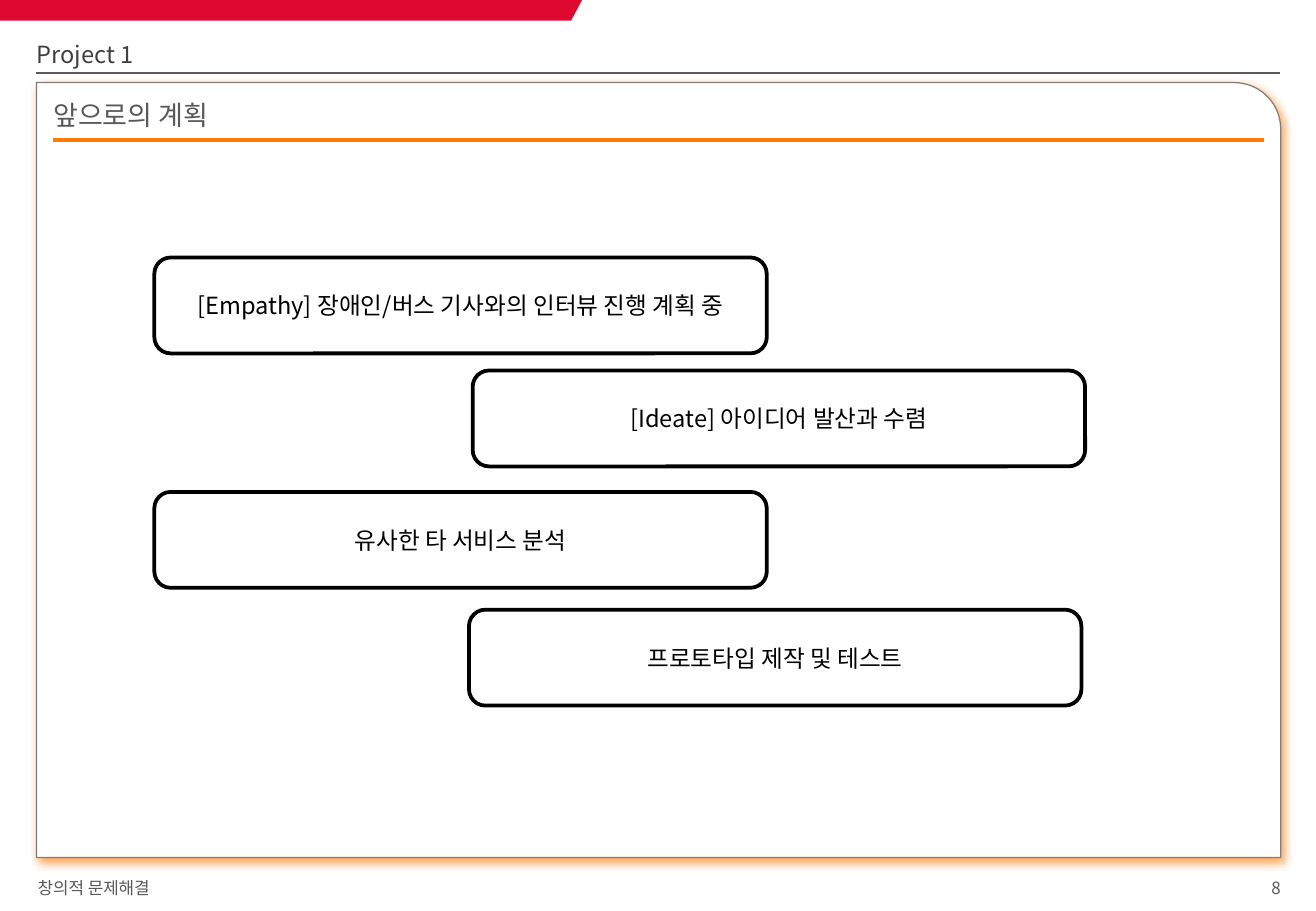
from lxml import etree
from pptx import Presentation, util as u
from pptx.dml.color import RGBColor
from pptx.enum import shapes, text
from pptx.oxml.ns import qn

THEME = dict(
    font="Noto Sans CJK KR",
    red="DD092F", orange="FF7A00", white="FFFFFF", black="000000",
    grey="595959", dark="3F3F3F", frame="7F7F7F",
    title=16, body=14, small=10,
)

prs = Presentation()
prs.slide_width, prs.slide_height = u.Inches(10.83), u.Inches(7.5)
s = prs.slides.add_slide(prs.slide_layouts[6])


def share(*values):
    """Turn alternating x, y percentages of the slide into lengths."""
    sides = (prs.slide_width, prs.slide_height)
    return [u.Emu(round(v * sides[i % 2] / 100)) for i, v in enumerate(values)]


def write(sp, words, size, color, align, anchor, inset=(0, 0)):
    tf = sp.text_frame
    tf.word_wrap = True
    tf.vertical_anchor = anchor
    tf.margin_left, tf.margin_right = [u.Inches(i) for i in inset]
    tf.margin_top = tf.margin_bottom = u.Inches(0.05)
    tf.text = words
    p = tf.paragraphs[0]
    p.alignment = align
    font = p.runs[0].font
    font.size = u.Pt(THEME[size])
    font.color.rgb = RGBColor.from_string(THEME[color])
    font.name = THEME["font"]
    etree.SubElement(p.runs[0]._r.rPr, qn("a:ea"), typeface=THEME["font"])


LEFT, CENTER, RIGHT = text.PP_ALIGN.LEFT, text.PP_ALIGN.CENTER, text.PP_ALIGN.RIGHT
TOP, MIDDLE = text.MSO_ANCHOR.TOP, text.MSO_ANCHOR.MIDDLE

# Red banner with a slanted end
corners = [(0, 0), (44.23, 0), (43.4, 2.27), (0, 2.27)]
outline = s.shapes.build_freeform(0, 0)
outline.add_line_segments([share(*c) for c in corners[1:]], close=True)
banner = outline.convert_to_shape()
banner.shadow.inherit = False
banner.fill.solid()
banner.fill.fore_color.rgb = RGBColor.from_string(THEME["red"])
banner.line.fill.background()

# Content frame and the four plan steps
ROUND1, ROUND = shapes.MSO_SHAPE.ROUND_1_RECTANGLE, shapes.MSO_SHAPE.ROUNDED_RECTANGLE
STEP = (46.54, 10.53)
panels = [
    (ROUND1, 0.06, (2.77, 9.07, 94.55, 85.07), "frame", 0.75, ""),
    (ROUND, 0.17, (11.73, 28.27, *STEP), "black", 2.25,
     "[Empathy] 장애인/버스 기사와의 인터뷰 진행 계획 중"),
    (ROUND, 0.17, (35.92, 40.67, *STEP), "black", 2.25, "[Ideate] 아이디어 발산과 수렴"),
    (ROUND, 0.17, (11.73, 54, *STEP), "black", 2.25, "유사한 타 서비스 분석"),
    (ROUND, 0.17, (35.64, 66.93, *STEP), "black", 2.25, "프로토타입 제작 및 테스트"),
]
for kind, corner, place, color, width, words in panels:
    sp = s.shapes.add_shape(kind, *share(*place))
    sp.adjustments[0] = corner
    sp.shadow.inherit = False
    sp.fill.solid()
    sp.fill.fore_color.rgb = RGBColor.from_string(THEME["white"])
    sp.line.color.rgb = RGBColor.from_string(THEME[color])
    sp.line.width = u.Pt(width)
    if words:
        write(sp, words, "body", "black", CENTER, MIDDLE, (0.1, 0.1))
    else:
        # Orange glow behind the frame
        effects = sp._element.spPr.find(qn("a:effectLst"))
        glow = etree.SubElement(effects, qn("a:outerShdw"), blurRad=str(u.Pt(5)),
                                dist=str(u.Pt(3)), dir=str(45 * 60000),
                                algn="tl", rotWithShape="0")
        tint = etree.SubElement(glow, qn("a:srgbClr"), val=THEME["orange"])
        etree.SubElement(tint, qn("a:alpha"), val="69000")

# Rules under the project name and the title
for x1, x2, y, color, width in [(2.77, 97.25, 8, "grey", 1),
                                (4.06, 96.03, 15.33, "orange", 2.25)]:
    rule = s.shapes.add_connector(shapes.MSO_CONNECTOR.STRAIGHT, *share(x1, y, x2, y))
    rule.line.color.rgb = RGBColor.from_string(THEME[color])
    rule.line.width = u.Pt(width)
    etree.SubElement(rule._element.spPr, qn("a:effectLst"))

# Headings, footer and page number
labels = [
    ("Project 1", (2.77, 3.87, 78.49, 4.13), "body", "dark", LEFT, MIDDLE),
    ("앞으로의 계획", (4.06, 10.13, 91.97, 5.2), "title", "grey", LEFT, TOP),
    ("창의적 문제해결", (2.86, 95.6, 50, 3.6), "small", "grey", LEFT, MIDDLE),
    ("8", (73.31, 95.6, 24, 3.6), "small", "grey", RIGHT, MIDDLE),
]
for words, place, *style in labels:
    write(s.shapes.add_textbox(*share(*place)), words, *style)

prs.save("out.pptx")
